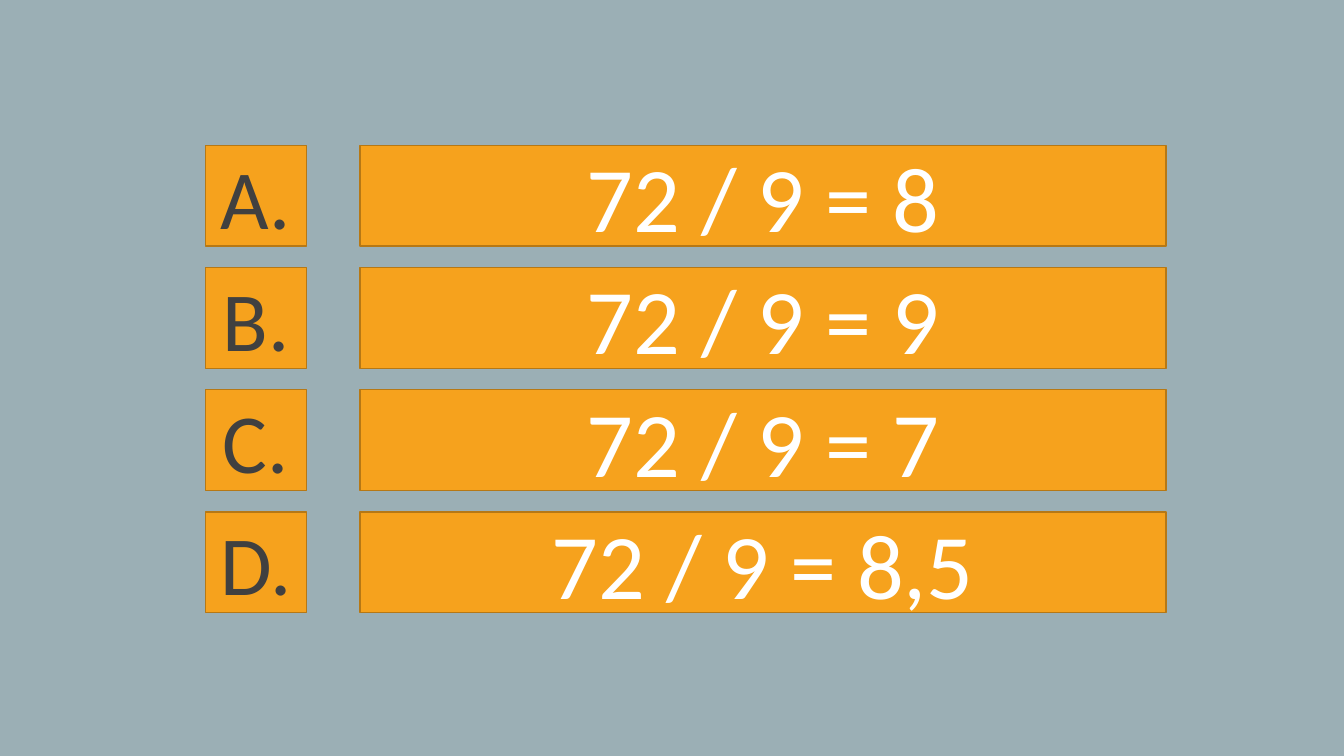
from pptx import Presentation
from pptx.dml.color import RGBColor
from pptx.enum.shapes import MSO_SHAPE
from pptx.enum.text import MSO_ANCHOR, PP_ALIGN
from pptx.util import Cm, Pt

ANSWERS = [
    ("A.", "72 / 9 = 8"),
    ("B.", "72 / 9 = 9"),
    ("C.", "72 / 9 = 7"),
    ("D.", "72 / 9 = 8,5"),
]
BACKGROUND, ORANGE, BORDER = "9BAFB5", "F6A21D", "B67815"
WHITE, DARK = "FFFFFF", "404040"

# Lengths in centimetres
TOP, ROW_PITCH, BOX_HEIGHT = 3.66, 3.08, 2.54
LETTER_LEFT, LETTER_WIDTH = 5.18, 2.54
ANSWER_LEFT, ANSWER_WIDTH = 9.07, 20.32


def paint(color_format, hex_color):
    """Set a colour format to a hex colour."""
    color_format.rgb = RGBColor.from_string(hex_color)


def add_box(slide, text, left, top, width, size, text_color):
    """Add an orange box with one centred line of text."""
    box = slide.shapes.add_shape(
        MSO_SHAPE.RECTANGLE, Cm(left), Cm(top), Cm(width), Cm(BOX_HEIGHT))
    box.shadow.inherit = False
    box.fill.solid()
    paint(box.fill.fore_color, ORANGE)
    paint(box.line.color, BORDER)
    box.line.width = Pt(1)
    frame = box.text_frame
    frame.word_wrap = True
    frame.vertical_anchor = MSO_ANCHOR.MIDDLE
    paragraph = frame.paragraphs[0]
    paragraph.alignment = PP_ALIGN.CENTER
    run = paragraph.add_run()
    run.text = text
    run.font.name = "Calibri"
    run.font.size = Pt(size)
    paint(run.font.color, text_color)


prs = Presentation()
prs.slide_width, prs.slide_height = Cm(33.87), Cm(19.05)
slide = prs.slides.add_slide(prs.slide_layouts[6])
slide.background.fill.solid()
paint(slide.background.fill.fore_color, BACKGROUND)

for row, (letter, answer) in enumerate(ANSWERS):
    top = TOP + row * ROW_PITCH
    add_box(slide, letter, LETTER_LEFT, top, LETTER_WIDTH, 60, DARK)
    add_box(slide, answer, ANSWER_LEFT, top, ANSWER_WIDTH, 66, WHITE)

prs.save("out.pptx")
